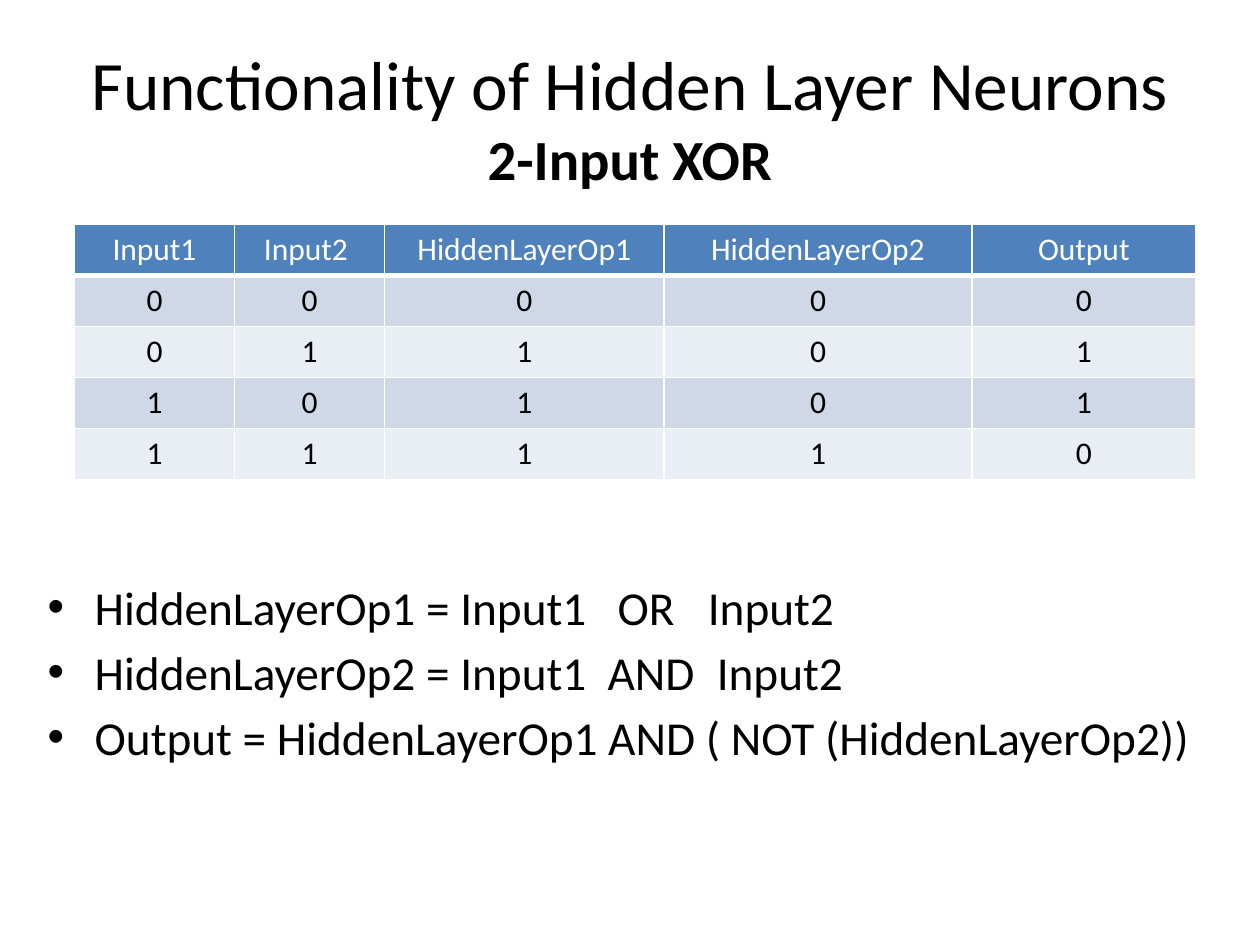
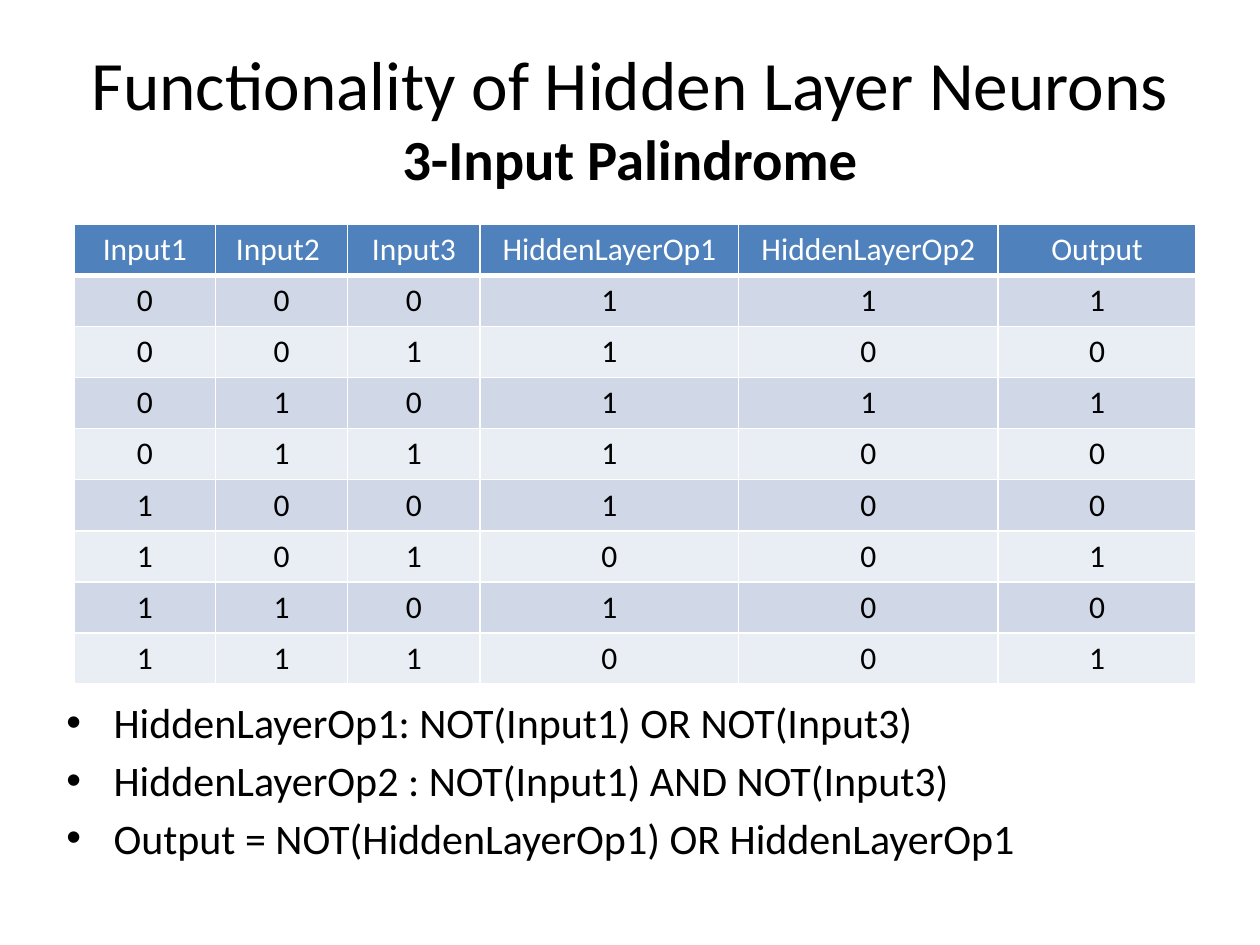
from dataclasses import dataclass

from lxml.etree import SubElement
from pptx import Presentation
from pptx.dml.color import RGBColor
from pptx.enum.text import MSO_ANCHOR, PP_ALIGN
from pptx.oxml.ns import qn
from pptx.util import Cm, Pt


@dataclass(frozen=True)
class Theme:
    font: str = "Calibri"
    text: str = "000000"
    light: str = "FFFFFF"
    header: str = "4F81BD"
    bands: tuple = ("D0D8E8", "E9EDF4")
    title_size: float = 39.6
    subtitle_size: float = 32.4
    table_size: float = 18
    bullet_gap: float = 0.175


THEME = Theme()
TITLE = "Functionality of Hidden Layer Neurons"
TABLE_LEFT, TABLE_TOP, ROW_HEIGHT = 1.5, 4.52, 1.03
BULLET_INDENT = 0.95


def add_run(p, text, size, color=THEME.text, bold=False):
    r = p.add_run()
    r.text = text
    r.font.name = THEME.font
    r.font.size = Pt(size)
    r.font.bold = bold
    r.font.color.rgb = RGBColor.from_string(color)


def add_box(slide, left, top, width, height, anchor=MSO_ANCHOR.TOP):
    tf = slide.shapes.add_textbox(Cm(left), Cm(top), Cm(width), Cm(height)).text_frame
    tf.word_wrap = True
    tf.vertical_anchor = anchor
    return tf


def add_title(slide, subtitle):
    p = add_box(slide, 1.27, 0.76, 22.86, 3.18, MSO_ANCHOR.MIDDLE).paragraphs[0]
    p.alignment = PP_ALIGN.CENTER
    add_run(p, TITLE, THEME.title_size)
    p.add_line_break()
    add_run(p, subtitle, THEME.subtitle_size, bold=True)


def set_bullet(p, tabs):
    pPr = p._p.get_or_add_pPr()
    pPr.set("marL", str(Cm(BULLET_INDENT)))
    pPr.set("indent", str(-Cm(BULLET_INDENT)))
    SubElement(pPr, qn("a:buFont"), typeface="Arial")
    SubElement(pPr, qn("a:buChar"), char="•")
    if tabs:
        tab_list = SubElement(pPr, qn("a:tabLst"))
        for pos in tabs:
            SubElement(tab_list, qn("a:tab"), pos=str(Cm(pos)), algn="l")


def add_bullets(slide, lines, box, size):
    tf = add_box(slide, *box)
    for i, (text, tabs) in enumerate(lines):
        p = tf.add_paragraph() if i else tf.paragraphs[0]
        set_bullet(p, tabs)
        if i:
            p.space_before = Pt(size * THEME.bullet_gap)
        add_run(p, text, size)


def set_borders(cell, bottom):
    tcPr = cell._tc.get_or_add_tcPr()
    for i, (side, width) in enumerate((("L", 1), ("R", 1), ("T", 1), ("B", bottom))):
        ln = tcPr.makeelement(qn(f"a:ln{side}"), {"w": str(Pt(width))})
        fill = SubElement(ln, qn("a:solidFill"))
        SubElement(fill, qn("a:srgbClr"), val=THEME.light)
        tcPr.insert(i, ln)


def format_cell(cell, text, fill, color, bottom):
    cell.fill.solid()
    cell.fill.fore_color.rgb = RGBColor.from_string(fill)
    set_borders(cell, bottom)
    p = cell.text_frame.paragraphs[0]
    p.alignment = PP_ALIGN.CENTER
    add_run(p, text, THEME.table_size, color)


def add_truth_table(slide, columns, rows):
    widths = [width for _, width in columns]
    table = slide.shapes.add_table(
        len(rows) + 1, len(columns), Cm(TABLE_LEFT), Cm(TABLE_TOP),
        Cm(sum(widths)), Cm(ROW_HEIGHT * (len(rows) + 1))).table
    table.horz_banding = False
    for row in table.rows:
        row.height = Cm(ROW_HEIGHT)
    for c, (name, width) in enumerate(columns):
        table.columns[c].width = Cm(width)
        format_cell(table.cell(0, c), name, THEME.header, THEME.light, 3)
    for r, bits in enumerate(rows):
        for c, bit in enumerate(bits):
            format_cell(table.cell(r + 1, c), bit, THEME.bands[r % 2], THEME.text, 1)


def add_function_slide(prs, subtitle, columns, rows, lines, box, size):
    slide = prs.slides.add_slide(prs.slide_layouts[6])
    add_title(slide, subtitle)
    add_bullets(slide, lines, box, size)
    add_truth_table(slide, columns, rows)


def main():
    prs = Presentation()
    prs.slide_width, prs.slide_height = Cm(25.4), Cm(19.05)
    add_function_slide(
        prs, "2-Input XOR",
        columns=[("Input1", 3.23), ("Input2 ", 3.02), ("HiddenLayerOp1", 5.64),
                 ("HiddenLayerOp2", 6.2), ("Output", 4.52)],
        rows=["00000", "01101", "10101", "11110"],
        lines=[("HiddenLayerOp1 = Input1\tOR\tInput2", (11.49, 13.31)),
               ("HiddenLayerOp2 = Input1\tAND\tInput2", (11.29, 13.49)),
               ("Output = HiddenLayerOp1 AND ( NOT (HiddenLayerOp2))", ())],
        box=(0.71, 11.53, 24, 5.49), size=27)
    add_function_slide(
        prs, "3-Input Palindrome",
        columns=[("Input1", 2.84), ("Input2 ", 2.67), ("Input3", 2.67),
                 ("HiddenLayerOp1", 5.21), ("HiddenLayerOp2", 5.23), ("Output", 3.99)],
        rows=["000111", "001100", "010111", "011100",
              "100100", "101001", "110100", "111001"],
        lines=[("HiddenLayerOp1: NOT(Input1) OR NOT(Input3)", ()),
               ("HiddenLayerOp2 : NOT(Input1) AND NOT(Input3)", ()),
               ("Output = NOT(HiddenLayerOp1) OR HiddenLayerOp1", ())],
        box=(1.09, 13.92, 23.6, 4.39), size=24)
    prs.save("out.pptx")


if __name__ == "__main__":
    main()
